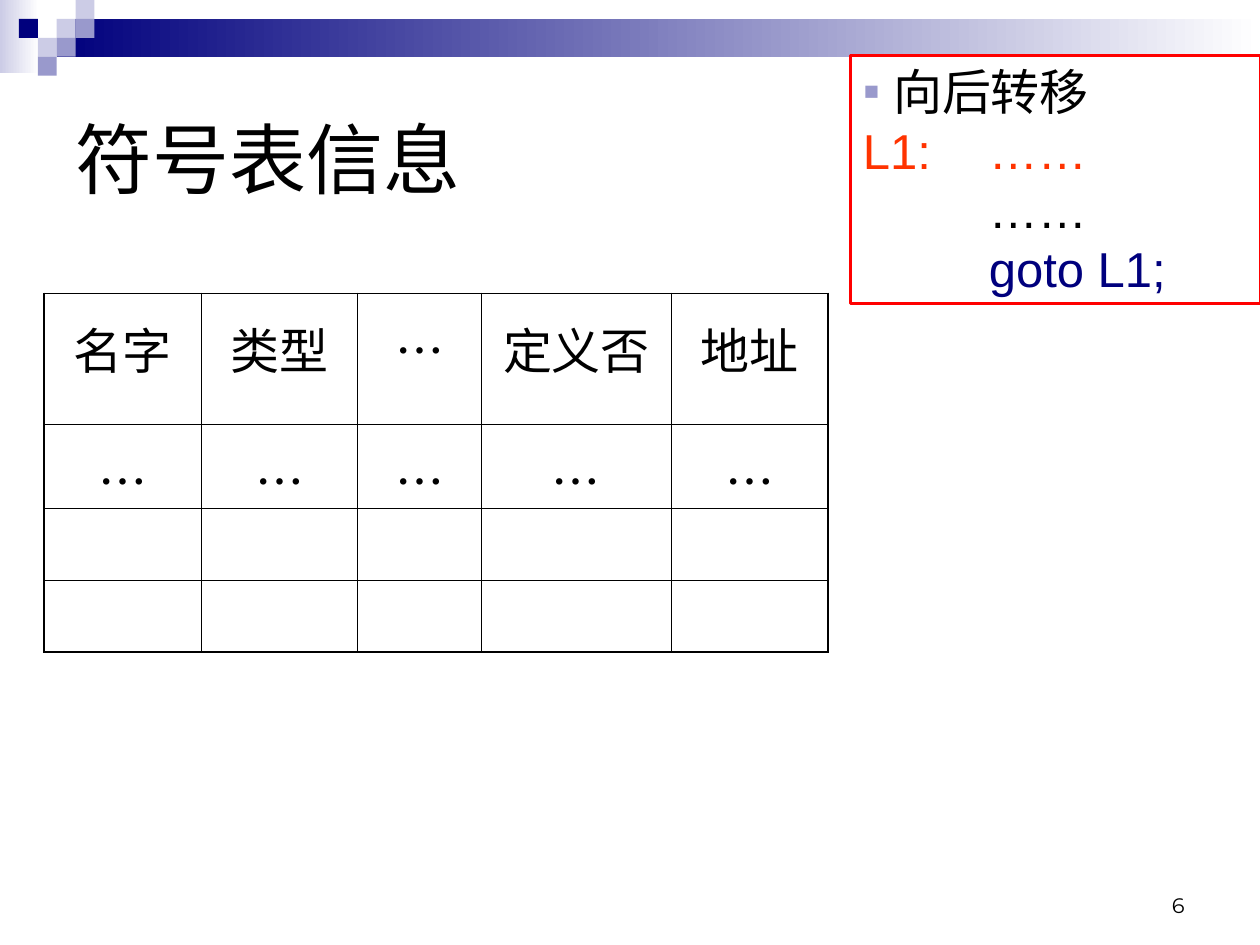
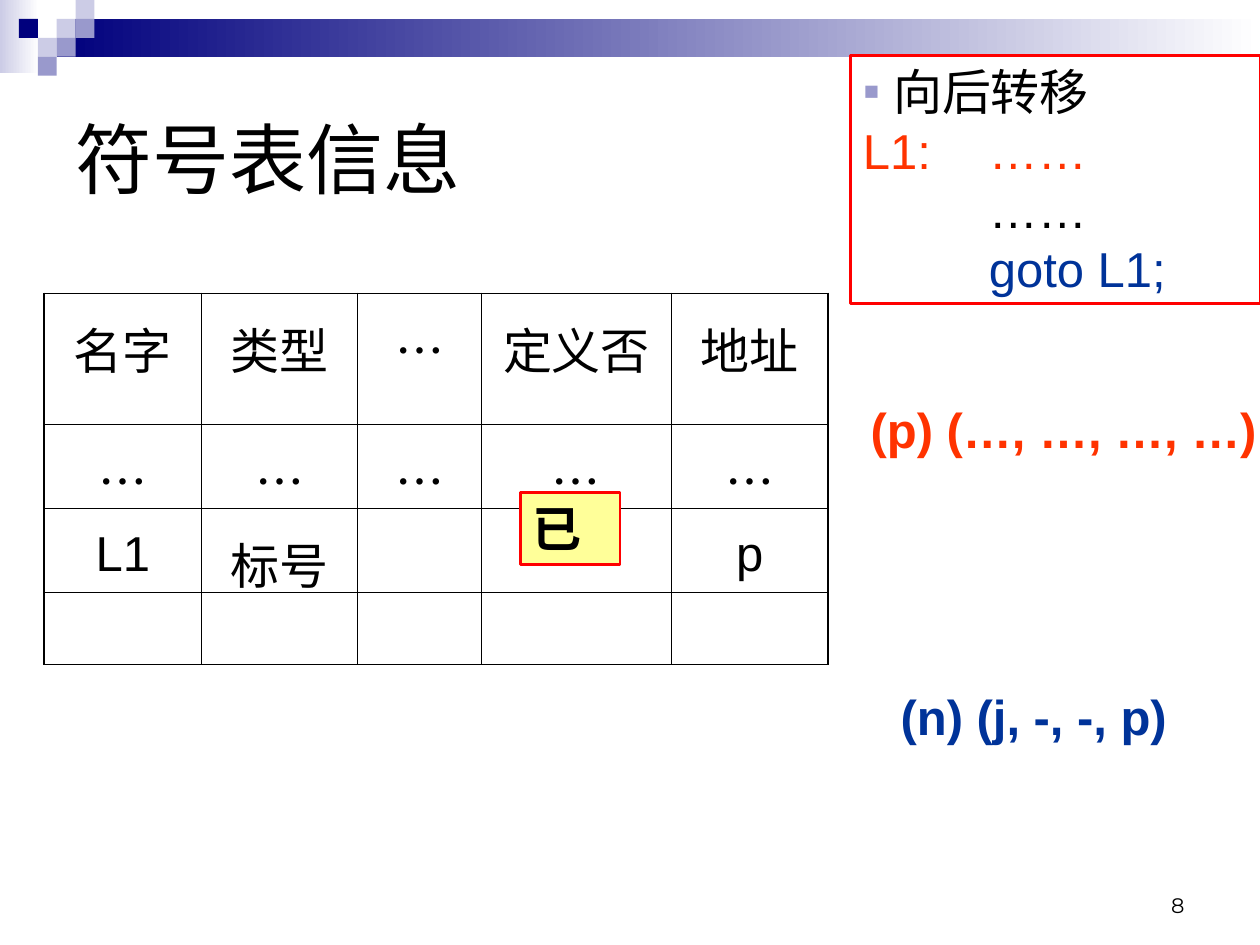
from lxml.etree import SubElement
from pptx import Presentation
from pptx.dml.color import RGBColor
from pptx.enum.shapes import MSO_SHAPE
from pptx.enum.text import MSO_ANCHOR, PP_ALIGN
from pptx.oxml.ns import qn
from pptx.util import Inches, Pt

WIDTH, HEIGHT = 10, 7.5
NAVY, LILAC, PALE, WHITE, BLACK = "00007D", "9999CC", "CCCCE6", "FFFFFF", "000000"
RED, ORANGE, BLUE, YELLOW = "FF0000", "FF3300", "003399", "FFFF99"
LATIN, CJK, NUMBER_FONT = "Arial", "Noto Sans CJK SC", "Montserrat"

TITLE = "符号表信息"
HEADER = ["名字", "类型", "…", "定义否", "地址"]
ELLIPSES = ["…"] * 5
EMPTY = [""] * 5
SLIDES = [
    {"number": "6", "goto_color": NAVY, "symbols": [HEADER, ELLIPSES, EMPTY, EMPTY]},
    {
        "number": "8",
        "goto_color": BLUE,
        "symbols": [HEADER, ELLIPSES, ["L1", "标号", "", "", "p"], EMPTY],
        "defined": "已",
        "quadruples": [
            ("(n) (j, -, -, p)", (7.05, 5.4, 2.95, 0.57), BLUE, 0.1),
            ("(p) (…, …, …, …)", (6.89, 3.12, 3.11, 0.57), ORANGE, 0.02),
        ],
    },
]

COLUMN_WIDTHS = [1.25, 1.24, 0.98, 1.51, 1.24]
ROW_HEIGHTS = [1.04, 0.57, 0.57, 0.57]
TABLE_LEFT, TABLE_TOP = 0.35, 2.33
OUTER_LINE, INNER_LINE = 1.08, 0.45

TILE = 0.15
TILES = [  # column, row, colour
    (3, 1, PALE), (4, 0, PALE), (4, 1, LILAC), (2, 2, PALE),
    (1, 1, NAVY), (3, 2, LILAC), (2, 3, LILAC),
]


def rgb(color):
    return RGBColor.from_string(color)


def inches(lengths):
    return [Inches(length) for length in lengths]


def write(frame, paragraphs, size=28, color=BLACK, font=LATIN, bold=False,
          align=PP_ALIGN.LEFT, anchor=MSO_ANCHOR.TOP, side=0.1):
    """Fill a text frame; a paragraph is a string or a (string, colour) pair."""
    frame.word_wrap = True
    frame.vertical_anchor = anchor
    frame.margin_left = frame.margin_right = Inches(side)
    frame.margin_top = frame.margin_bottom = Inches(0.05)
    for index, entry in enumerate(paragraphs):
        text, text_color = (entry, color) if isinstance(entry, str) else entry
        paragraph = frame.add_paragraph() if index else frame.paragraphs[0]
        paragraph.alignment = align
        run = paragraph.add_run()
        run.text = text
        run.font.size = Pt(size)
        run.font.bold = bold
        run.font.name = font
        run.font.color.rgb = rgb(text_color)
        SubElement(run.font._element, qn("a:ea"), typeface=CJK)


def add_text(slide, box, text, **style):
    write(slide.shapes.add_textbox(*inches(box)).text_frame, [text], **style)


def add_rect(slide, box, fill=None, line=None, fade=None):
    rect = slide.shapes.add_shape(MSO_SHAPE.RECTANGLE, *inches(box))
    rect.shadow.inherit = False
    if fade:
        rect.fill.gradient()
        rect.fill.gradient_angle = 0
        for stop, color, position in zip(rect.fill.gradient_stops, fade, (0, 1)):
            stop.color.rgb = rgb(color)
            stop.position = position
    elif fill:
        rect.fill.solid()
        rect.fill.fore_color.rgb = rgb(fill)
    else:
        rect.fill.background()
    if line:
        rect.line.color.rgb = rgb(line)
        rect.line.width = Pt(1.5)
    else:
        rect.line.fill.background()
    return rect


def add_frame(slide, number):
    """Draw the band, tiles, page number and title that every slide shares."""
    add_rect(slide, (0, 0, 0.31, 0.58), fade=(PALE, WHITE))
    add_rect(slide, (3 * TILE, TILE, WIDTH - 3 * TILE, 2 * TILE), fade=(NAVY, WHITE))
    for column, row, color in TILES:
        add_rect(slide, (column * TILE, row * TILE, TILE, TILE), fill=color)
    add_text(slide, (7.17, 6.83, 2.33, 0.5), number, size=12, font=NUMBER_FONT,
             align=PP_ALIGN.RIGHT, anchor=MSO_ANCHOR.BOTTOM)
    add_text(slide, (0.5, 0.5, 9, 1.5), TITLE, size=44, anchor=MSO_ANCHOR.MIDDLE)


def set_borders(cell, outer_sides):
    properties = cell._tc.get_or_add_tcPr()
    for side in ("L", "R", "T", "B"):
        width = OUTER_LINE if side in outer_sides else INNER_LINE
        border = SubElement(properties, qn(f"a:ln{side}"), w=str(Pt(width)))
        fill = SubElement(border, qn("a:solidFill"))
        SubElement(fill, qn("a:srgbClr"), val=BLACK)


def add_symbol_table(slide, symbols):
    last_row, last_column = len(symbols) - 1, len(HEADER) - 1
    box = (TABLE_LEFT, TABLE_TOP, sum(COLUMN_WIDTHS), sum(ROW_HEIGHTS))
    table = slide.shapes.add_table(last_row + 1, last_column + 1, *inches(box)).table
    table.first_row = table.horz_banding = False
    for column, width in zip(table.columns, COLUMN_WIDTHS):
        column.width = Inches(width)
    for row, height in zip(table.rows, ROW_HEIGHTS):
        row.height = Inches(height)
    for r, entries in enumerate(symbols):
        for c, entry in enumerate(entries):
            cell = table.cell(r, c)
            edges = {"L": c == 0, "R": c == last_column, "T": r == 0, "B": r == last_row}
            set_borders(cell, [side for side, outer in edges.items() if outer])
            cell.fill.background()
            if entry:
                write(cell.text_frame, [entry], align=PP_ALIGN.CENTER,
                      font=CJK if entry == "…" else LATIN)
                cell.margin_top = Inches(0.15)


def add_jump_code(slide, goto_color):
    frame = add_rect(slide, (6.75, 0.44, 3.25, 1.97), line=RED).text_frame
    write(frame, ["向后转移", ("L1:\t……", ORANGE), "\t……", ("\tgoto L1;", goto_color)],
          align=PP_ALIGN.JUSTIFY)
    heading, *code = [p._p.get_or_add_pPr() for p in frame.paragraphs]
    indent = Inches(0.24)
    heading.set("marL", str(indent))
    heading.set("indent", str(-indent))
    bullet_color = SubElement(heading, qn("a:buClr"))
    SubElement(bullet_color, qn("a:srgbClr"), val=LILAC)
    SubElement(heading, qn("a:buFont"), typeface=LATIN)
    SubElement(heading, qn("a:buChar"), char="▪")
    for properties in code:
        stops = SubElement(properties, qn("a:tabLst"))
        SubElement(stops, qn("a:tab"), pos=str(Inches(1)), algn="l")


def main():
    deck = Presentation()
    deck.slide_width, deck.slide_height = inches((WIDTH, HEIGHT))
    for content in SLIDES:
        slide = deck.slides.add_slide(deck.slide_layouts[6])
        add_frame(slide, content["number"])
        add_symbol_table(slide, content["symbols"])
        if "defined" in content:
            mark = add_rect(slide, (4.13, 3.91, 0.79, 0.57), fill=YELLOW, line=RED)
            write(mark.text_frame, [content["defined"]], bold=True)
        add_jump_code(slide, content["goto_color"])
        for text, box, color, side in content.get("quadruples", []):
            add_text(slide, box, text, color=color, bold=True, side=side)
    deck.save("out.pptx")


if __name__ == "__main__":
    main()
